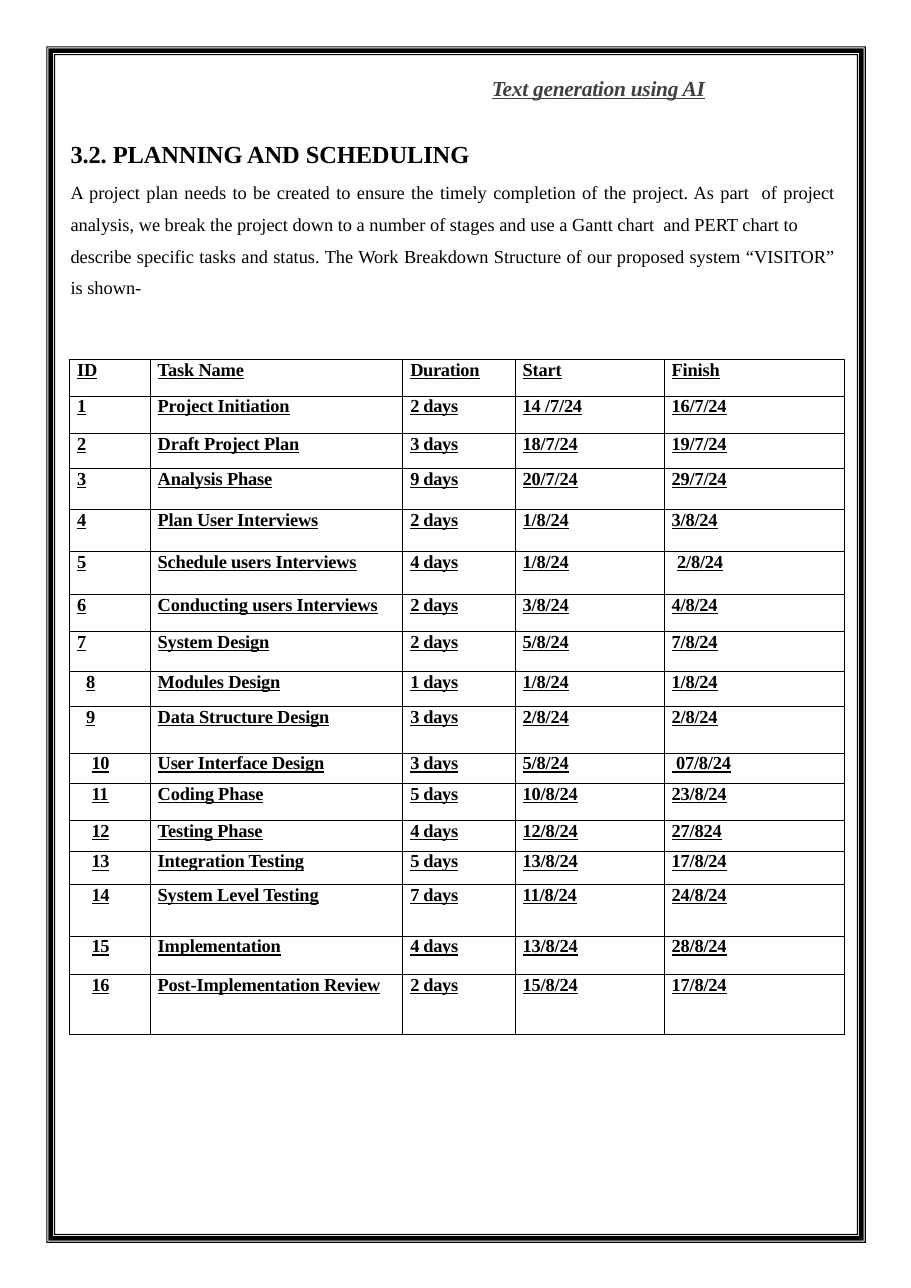
import lxml.etree
import pptx
import pptx.dml.color
import pptx.enum.text
import pptx.oxml.ns
import pptx.util

Inches, Pt = pptx.util.Inches, pptx.util.Pt

COLOURS = {"ink": "000000", "running_head": "404040"}
FONT = "Times New Roman"

RUNNING_HEAD = "Text generation using AI"
HEADING = "3.2. PLANNING AND SCHEDULING"
INTRODUCTION = [
    "A project plan needs to be created to ensure the timely completion of the project. "
    "As part  of project analysis, we break the project down to a number of stages and "
    "use a Gantt chart  and PERT chart to",
    "describe specific tasks and status. The Work Breakdown Structure of our proposed "
    "system “VISITOR” is shown-",
]
SCHEDULE = [
    ("ID", "Task Name", "Duration", "Start", "Finish"),
    ("1", "Project Initiation", "2 days", "14 /7/24", "16/7/24"),
    ("2", "Draft Project Plan", "3 days", "18/7/24", "19/7/24"),
    ("3", "Analysis Phase", "9 days", "20/7/24", "29/7/24"),
    ("4", "Plan User Interviews", "2 days", "1/8/24", "3/8/24"),
    ("5", "Schedule users Interviews", "4 days", "1/8/24", "2/8/24"),
    ("6", "Conducting users Interviews", "2 days", "3/8/24", "4/8/24"),
    ("7", "System Design", "2 days", "5/8/24", "7/8/24"),
    ("8", "Modules Design", "1 days", "1/8/24", "1/8/24"),
    ("9", "Data Structure Design", "3 days", "2/8/24", "2/8/24"),
    ("10", "User Interface Design", "3 days", "5/8/24", " 07/8/24"),
    ("11", "Coding Phase", "5 days", "10/8/24", "23/8/24"),
    ("12", "Testing Phase", "4 days", "12/8/24", "27/824"),
    ("13", "Integration Testing", "5 days", "13/8/24", "17/8/24"),
    ("14", "System Level Testing", "7 days", "11/8/24", "24/8/24"),
    ("15", "Implementation", "4 days", "13/8/24", "28/8/24"),
    ("16", "Post-Implementation Review", "2 days", "15/8/24", "17/8/24"),
]
COLUMN_WIDTHS = [0.73, 2.29, 1.02, 1.35, 1.64]
ROW_HEIGHTS = [0.33, 0.34, 0.32, 0.37, 0.38, 0.39, 0.34, 0.36, 0.32,
               0.42, 0.28, 0.33, 0.28, 0.3, 0.47, 0.35, 0.54]
COLUMN_TRACKING = [-0.2, -0.1, -0.2, -0.1, -0.1]
CELL_INDENT = 0.07
SPECIAL_INDENTS = {(5, 4): 0.12, (8, 0): 0.15, (9, 0): 0.15}
SPECIAL_INDENTS.update({(row, 0): 0.2 for row in range(10, 17)})

PAGE_BORDER = (0.42, 0.42, 7.43, 10.85)
BORDER_INSETS = [0, 0.01, 0.02, 0.06, 0.07, 0.08]


def rgb(name):
    return pptx.dml.color.RGBColor.from_string(COLOURS[name])


def style_paragraph(paragraph, size, colour="ink", indent=0.01, right=0, before=0,
                    line=None, tracking=0, bold=False, italic=False, underline=False):
    """Set spacing and indents in points and inches, then format every run."""
    paragraph.space_before = Pt(before)
    if line:
        paragraph.line_spacing = Pt(line)
    properties = paragraph._p.get_or_add_pPr()
    properties.set("marL", str(Inches(indent)))
    properties.set("marR", str(Inches(right)))
    properties.set("indent", "0")
    for run in paragraph.runs:
        font = run.font
        font.name, font.size = FONT, Pt(size)
        font.bold, font.italic, font.underline = bold, italic, underline
        font.color.rgb = rgb(colour)
        run._r.get_or_add_rPr().set("spc", str(round(tracking * 100)))


def add_introduction(slide):
    box = slide.shapes.add_textbox(Inches(0.63), Inches(0.67), Inches(7.04), Inches(2.03))
    frame = box.text_frame
    frame.word_wrap = True
    frame.margin_left = frame.margin_right = frame.margin_bottom = 0
    frame.margin_top = Inches(0.01)
    frame.text = "\n".join([RUNNING_HEAD, HEADING, *INTRODUCTION])
    running_head, heading, *body = frame.paragraphs
    style_paragraph(running_head, 14, "running_head", indent=3.83, before=1,
                    tracking=-0.2, bold=True, italic=True, underline=True)
    style_paragraph(heading, 16, before=25.3, tracking=-0.05, bold=True)
    for paragraph, before, line in zip(body, (1.6, 0), (20.8, 20.7)):
        style_paragraph(paragraph, 12, right=0.09, before=before, line=line)
        paragraph.alignment = pptx.enum.text.PP_ALIGN.JUSTIFY


def outline_cell(cell):
    properties = cell._tc.get_or_add_tcPr()
    qn = pptx.oxml.ns.qn
    for side in ("a:lnL", "a:lnR", "a:lnT", "a:lnB"):
        edge = lxml.etree.SubElement(properties, qn(side), w=str(Pt(0.5)))
        fill = lxml.etree.SubElement(edge, qn("a:solidFill"))
        lxml.etree.SubElement(fill, qn("a:srgbClr"), val=COLOURS["ink"])


def add_schedule(slide):
    table = slide.shapes.add_table(
        len(SCHEDULE), len(COLUMN_WIDTHS), Inches(0.63), Inches(3.26),
        Inches(sum(COLUMN_WIDTHS)), Inches(sum(ROW_HEIGHTS))).table
    table.first_row = table.horz_banding = False
    for column, width in zip(table.columns, COLUMN_WIDTHS):
        column.width = Inches(width)
    for row, height in zip(table.rows, ROW_HEIGHTS):
        row.height = Inches(height)
    for r, entries in enumerate(SCHEDULE):
        for c, entry in enumerate(entries):
            cell = table.cell(r, c)
            cell.margin_left = cell.margin_right = cell.margin_top = cell.margin_bottom = 0
            outline_cell(cell)
            cell.fill.background()
            cell.text_frame.text = entry
            style_paragraph(cell.text_frame.paragraphs[0], 12,
                            indent=SPECIAL_INDENTS.get((r, c), CELL_INDENT),
                            line=13.6 if r < 10 else 13.7,
                            tracking=COLUMN_TRACKING[c], bold=True, underline=True)


def add_page_border(slide):
    """Draw nested rectangles as one outline, so that every other band is filled."""
    left, top, width, height = PAGE_BORDER
    builder = slide.shapes.build_freeform(Inches(left), Inches(top), scale=1.0)
    for inset in BORDER_INSETS:
        x1, y1 = Inches(left + inset), Inches(top + inset)
        x2, y2 = Inches(left + width - inset), Inches(top + height - inset)
        if inset:
            builder.move_to(x1, y1)
        builder.add_line_segments([(x2, y1), (x2, y2), (x1, y2)], close=True)
    border = builder.convert_to_shape()
    border.shadow.inherit = False
    border.fill.solid()
    border.fill.fore_color.rgb = rgb("ink")
    border.line.fill.background()


def main():
    deck = pptx.Presentation()
    deck.slide_width, deck.slide_height = Inches(8.26), Inches(11.68)
    slide = deck.slides.add_slide(deck.slide_layouts[6])
    add_introduction(slide)
    add_schedule(slide)
    add_page_border(slide)
    deck.save("out.pptx")


if __name__ == "__main__":
    main()
